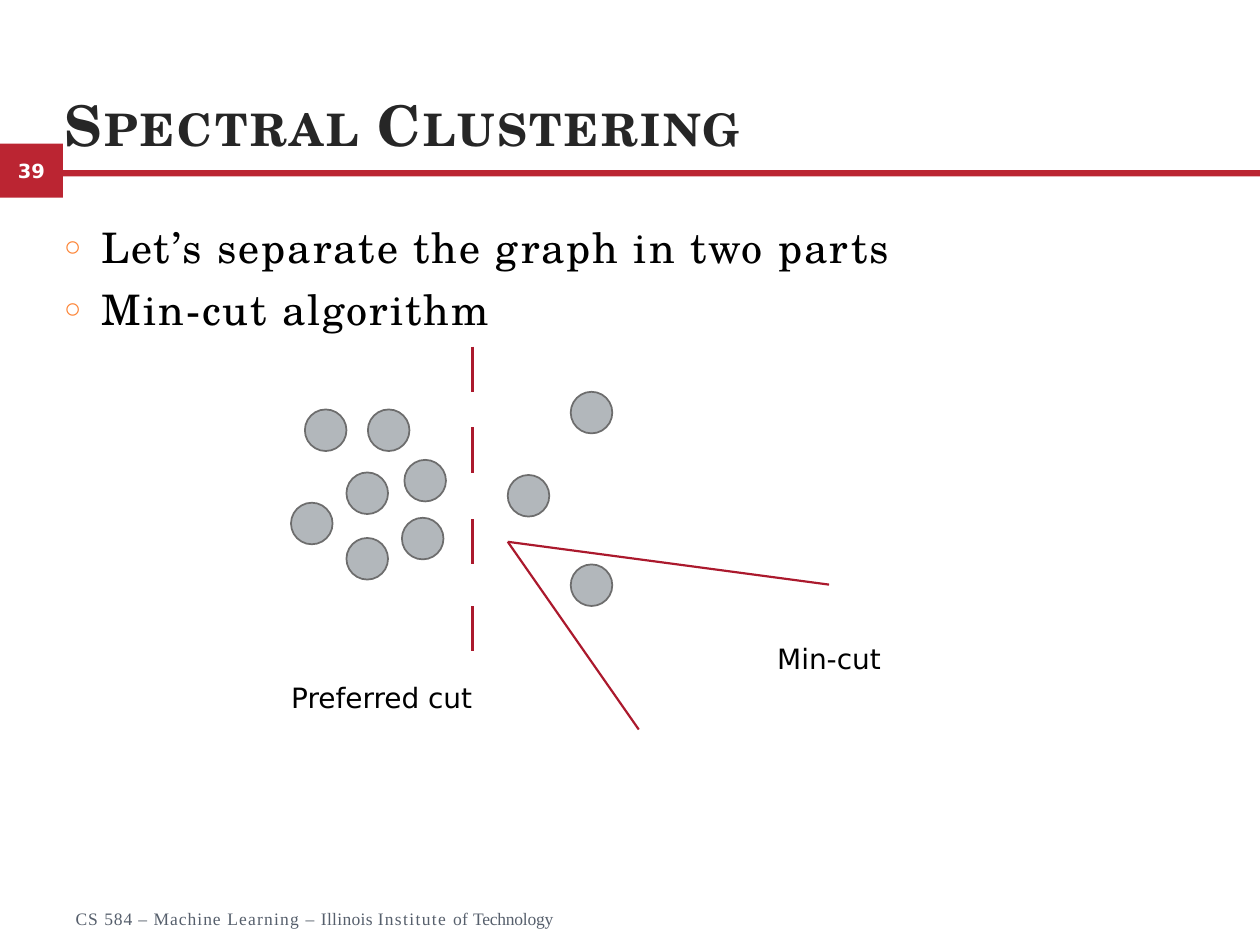
import dataclasses

import lxml.etree
import pptx
import pptx.dml.color
import pptx.enum.shapes
import pptx.enum.text
import pptx.oxml.ns
import pptx.util

SLIDE_WIDTH = pptx.util.Inches(10)
SLIDE_HEIGHT = pptx.util.Inches(7.5)
COLUMNS, ROWS = 100, 75
ALIGN = pptx.enum.text.PP_ALIGN
ANCHOR = pptx.enum.text.MSO_ANCHOR


@dataclasses.dataclass(frozen=True)
class Theme:
    accent: str = "BB2532"
    cut: str = "AB192D"
    node: str = "B2B7BB"
    node_edge: str = "6D6D6D"
    bullet: str = "FD8537"
    title: str = "262626"
    body: str = "000000"
    footer: str = "565F6C"
    light: str = "FFFFFF"
    serif: str = "TeX Gyre Schola"
    sans: str = "DejaVu Sans"
    footer_font: str = "Times New Roman"
    bullet_font: str = "Times New Roman"
    title_size: float = 32
    body_size: float = 24
    label_size: float = 16
    number_size: float = 11.1
    footer_size: float = 10
    node_line: float = 1
    cut_line: float = 1.25


THEME = Theme()


def x(column):
    return round(SLIDE_WIDTH * column / COLUMNS)


def y(row):
    return round(SLIDE_HEIGHT * row / ROWS)


def place(left, top, width, height):
    return x(left), y(top), x(width), y(height)


def rgb(color):
    return pptx.dml.color.RGBColor.from_string(color)


def append_element(parent, tag, **attributes):
    return lxml.etree.SubElement(parent, pptx.oxml.ns.qn(tag), attributes)


def add_bullet(paragraph):
    properties = paragraph._p.get_or_add_pPr()
    properties.set("marL", str(x(3.1)))
    properties.set("indent", str(-x(3)))
    bullet_color = append_element(properties, "a:buClr")
    append_element(bullet_color, "a:srgbClr", val=THEME.bullet)
    append_element(properties, "a:buSzPct", val="68000")
    append_element(properties, "a:buFont", typeface=THEME.bullet_font)
    append_element(properties, "a:buChar", char="○")
    tabs = append_element(properties, "a:tabLst")
    append_element(tabs, "a:tab", pos=str(x(3.1)), algn="l")


def write(frame, paragraphs, *, font, size, color, bold=False, small_caps=False,
          align=ALIGN.LEFT, anchor=ANCHOR.TOP, margins=(0, 0),
          bulleted=False, line_spacing=None, space_before=0):
    frame.word_wrap = True
    frame.vertical_anchor = anchor
    frame.margin_left = frame.margin_right = x(margins[0])
    frame.margin_top = frame.margin_bottom = y(margins[1])
    for index, runs in enumerate(paragraphs):
        paragraph = frame.paragraphs[0] if index == 0 else frame.add_paragraph()
        paragraph.alignment = align
        if bulleted:
            add_bullet(paragraph)
        if line_spacing:
            paragraph.line_spacing = line_spacing
        if index:
            paragraph.space_before = pptx.util.Pt(space_before)
        for words, tracking in runs:
            run = paragraph.add_run()
            run.text = words
            run.font.name = font
            run.font.size = pptx.util.Pt(size)
            run.font.bold = bold
            run.font.color.rgb = rgb(color)
            properties = run.font._element
            properties.set("spc", str(round(tracking * 100)))
            if small_caps:
                properties.set("cap", "small")


def add_text(slide, box, paragraphs, **style):
    write(slide.shapes.add_textbox(*place(*box)).text_frame, paragraphs, **style)


def add_solid(slide, preset, box, fill, edge=None):
    solid = slide.shapes.add_shape(preset, *place(*box))
    solid.shadow.inherit = False
    solid.fill.solid()
    solid.fill.fore_color.rgb = rgb(fill)
    if edge:
        solid.line.color.rgb = rgb(edge)
        solid.line.width = pptx.util.Pt(THEME.node_line)
    else:
        solid.line.fill.background()
    return solid


def add_cut(slide, start, end):
    cut = slide.shapes.add_connector(
        pptx.enum.shapes.MSO_CONNECTOR.STRAIGHT,
        x(start[0]), y(start[1]), x(end[0]), y(end[1]))
    cut.line.color.rgb = rgb(THEME.cut)
    cut.line.width = pptx.util.Pt(THEME.cut_line)
    append_element(cut._element.spPr, "a:effectLst")


def add_header(slide):
    rectangle = pptx.enum.shapes.MSO_SHAPE.RECTANGLE
    number = add_solid(slide, rectangle, (0, 11.4, 5, 4.3), THEME.accent)
    write(number.text_frame, [[("39", 0)]], font=THEME.sans,
          size=THEME.number_size, color=THEME.light, bold=True,
          align=ALIGN.CENTER, anchor=ANCHOR.MIDDLE)
    add_solid(slide, rectangle, (5, 13.5, 95, 0.5), THEME.accent)
    add_text(slide, (5.1, 7, 90, 5.5), [[("Spectral Clustering", 1.6)]],
             font=THEME.serif, size=THEME.title_size, color=THEME.title,
             bold=True, small_caps=True, anchor=ANCHOR.BOTTOM)


def add_body(slide):
    points = ["Let’s separate the graph in two parts", "Min-cut algorithm"]
    add_text(slide, (5, 16.8, 91.3, 9.5), [[(point, 1.1)] for point in points],
             font=THEME.serif, size=THEME.body_size, color=THEME.body,
             bulleted=True, line_spacing=1.2, space_before=1)


def add_footer(slide):
    course = [("CS ", 0.6), ("584 ", 0.5), ("– Machine ", 0.6),
              ("Learning ", 0.7), ("– ", 0.6), ("Illinois ", 0.2),
              ("Institute ", 0.8), ("of ", 0.2), ("Technology", -0.1)]
    add_text(slide, (6, 72.1, 39.4, 2), [course], font=THEME.footer_font,
             size=THEME.footer_size, color=THEME.footer)


def add_graph(slide):
    diameter = 3.3
    left_cluster = [(24.2, 32.5), (27.5, 37.5), (23.1, 39.9), (27.5, 42.7),
                    (31.9, 41.1), (32.1, 36.5), (29.2, 32.5)]
    right_cluster = [(45.3, 44.8), (40.3, 37.7), (45.3, 31.1)]
    for left, top in left_cluster + right_cluster:
        add_solid(slide, pptx.enum.shapes.MSO_SHAPE.OVAL,
                  (left, top, diameter, diameter), THEME.node, THEME.node_edge)


def add_cuts(slide):
    preferred_column, dash = 37.5, 3.6
    for top in (27.5, 33.9, 41.2, 48.1):
        add_cut(slide, (preferred_column, top), (preferred_column, top + dash))
    for end in ((65.8, 46.4), (50.7, 57.9)):
        add_cut(slide, (40.3, 43), end)
    for name, center, top, width in (("Min-cut", 65.8, 50.4, 12),
                                     ("Preferred cut", 30.3, 53.5, 18)):
        add_text(slide, (center - width / 2, top, width, 3.8), [[(name, 0)]],
                 font=THEME.sans, size=THEME.label_size, color=THEME.body,
                 align=ALIGN.CENTER, margins=(1, 0.5) if width < 18 else (0, 0.5))


def main():
    deck = pptx.Presentation()
    deck.slide_width, deck.slide_height = SLIDE_WIDTH, SLIDE_HEIGHT
    slide = deck.slides.add_slide(deck.slide_layouts[6])
    add_header(slide)
    add_footer(slide)
    add_body(slide)
    add_graph(slide)
    add_cuts(slide)
    deck.save("out.pptx")


if __name__ == "__main__":
    main()
